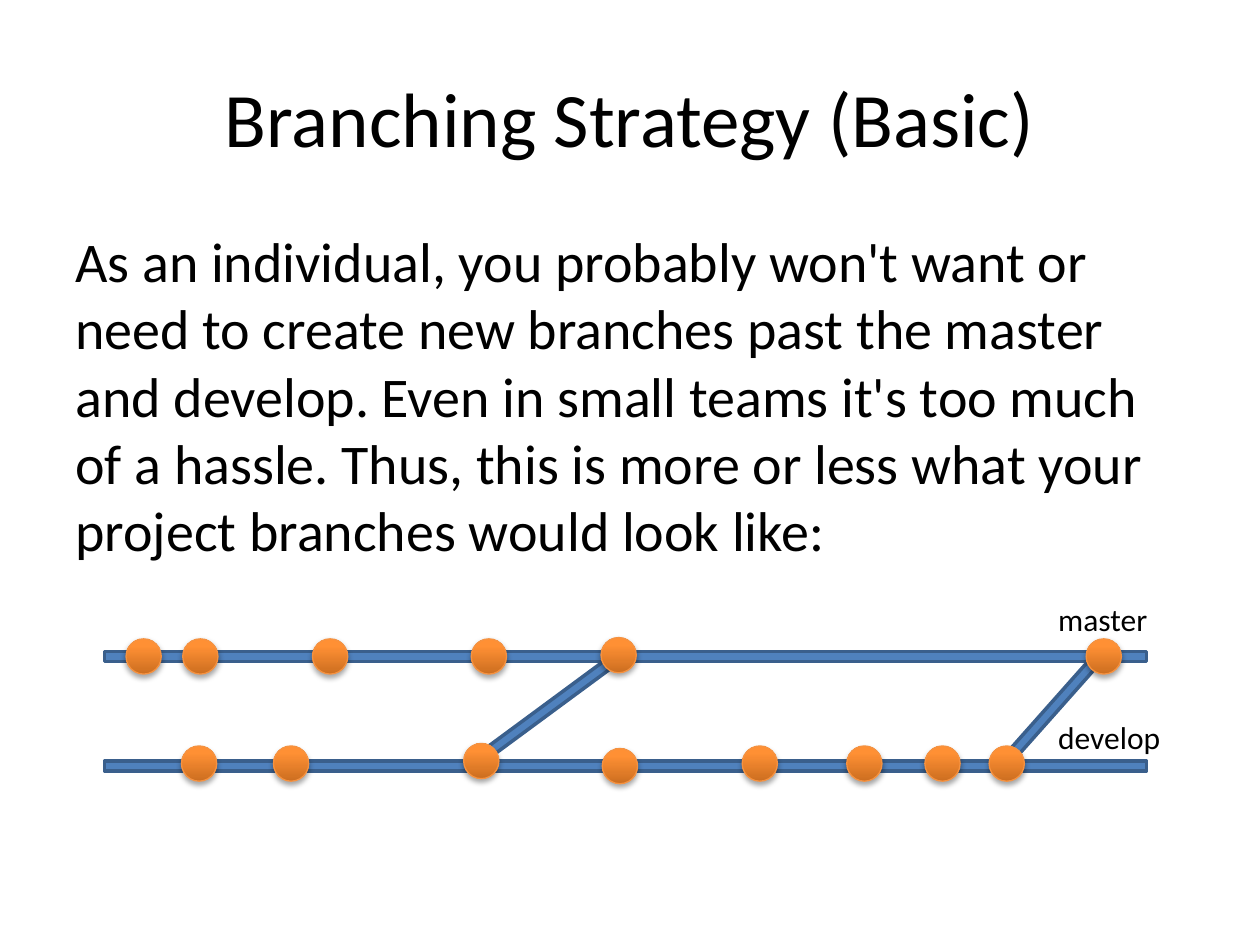
from lxml import etree
from pptx import Presentation
from pptx import util as u
from pptx.dml.color import RGBColor
from pptx.enum import shapes, text
from pptx.oxml.ns import qn

TITLE = "Branching Strategy (Basic)"
BODY = ("As an individual, you probably won't want or need to create new branches "
        "past the master and develop. Even in small teams it's too much of a hassle. "
        "Thus, this is more or less what your project branches would look like:")

COLOURS = {"text": "000000", "bar": "4F81BD", "bar_edge": "3A5F8C",
           "commit_dark": "CC6E20", "commit_light": "FF9034",
           "commit_edge": "F69240", "shadow": "000000"}
FONT = "Calibri"
BAR_HEIGHT = 0.08
COMMIT_SIZE = 0.28

# left, top, width, rotation; from back to front
BARS = [
    (3.67, 5.59, 1.34, 143.6),  # first merge
    (0.83, 5.17, 8.27, 0),      # master
    (0.83, 6.04, 8.27, 0),      # develop
    (7.76, 5.59, 1.18, 131.6),  # second merge
]
# name, left, top, width
LABELS = [("master", 8.3, 4.71, 0.92), ("develop", 8.3, 5.65, 1.02)]
# top of the commits, their left edges
COMMITS = [
    (5.07, [1, 1.45, 2.48, 3.74, 8.62]),
    (5.06, [4.77]),
    (5.92, [1.44, 2.17, 5.89, 6.72, 7.34, 7.85]),
    (5.9, [3.68]),
    (5.94, [4.78]),
]


def colour(name):
    return RGBColor.from_string(COLOURS[name])


def inches(*lengths):
    return [u.Inches(length) for length in lengths]


def write(frame, words, size, wrap=True):
    frame.word_wrap = wrap
    paragraph = frame.paragraphs[0]
    paragraph.text = words
    paragraph.font.name = FONT
    paragraph.font.size = u.Pt(size)
    paragraph.font.color.rgb = colour("text")
    return paragraph


def add_outlined(slide, kind, box, edge, edge_width):
    shape = slide.shapes.add_shape(kind, *inches(*box))
    shape.shadow.inherit = False
    shape.line.color.rgb = colour(edge)
    shape.line.width = u.Pt(edge_width)
    return shape


def add_bar(slide, left, top, width, rotation):
    bar = add_outlined(slide, shapes.MSO_SHAPE.RECTANGLE,
                       (left, top, width, BAR_HEIGHT), "bar_edge", 2)
    bar.rotation = rotation
    bar.fill.solid()
    bar.fill.fore_color.rgb = colour("bar")


def add_commit(slide, left, top):
    commit = add_outlined(slide, shapes.MSO_SHAPE.OVAL,
                          (left, top, COMMIT_SIZE, COMMIT_SIZE), "commit_edge", 0.75)
    commit.fill.gradient()
    commit.fill.gradient_angle = 90
    stops = zip(commit.fill.gradient_stops, (0, 0.8), ("commit_dark", "commit_light"))
    for stop, position, name in stops:
        stop.position = position
        stop.color.rgb = colour(name)
    drop_shadow(commit)


def drop_shadow(shape):
    effects = shape._element.spPr.find(qn("a:effectLst"))
    shadow = etree.SubElement(effects, qn("a:outerShdw"), blurRad=str(u.Pt(3.1)),
                              dist=str(u.Pt(1.8)), dir="5400000", rotWithShape="0")
    tone = etree.SubElement(shadow, qn("a:srgbClr"), val=COLOURS["shadow"])
    etree.SubElement(tone, qn("a:alpha"), val="35000")


def main():
    deck = Presentation()
    deck.slide_width, deck.slide_height = inches(10, 7.5)
    slide = deck.slides.add_slide(deck.slide_layouts[5])

    title = slide.shapes.title
    title.left, title.top, title.width, title.height = inches(0.5, 0.3, 9, 1.25)
    title.text_frame.vertical_anchor = text.MSO_ANCHOR.MIDDLE
    write(title.text_frame, TITLE, 44).alignment = text.PP_ALIGN.CENTER

    body = slide.shapes.add_textbox(*inches(0.5, 1.75, 9, 4.95))
    write(body.text_frame, BODY, 32).space_before = u.Pt(6.4)

    for bar in BARS:
        add_bar(slide, *bar)
    for name, left, top, width in LABELS:
        label = slide.shapes.add_textbox(*inches(left, top, width, 0.4))
        write(label.text_frame, name, 18, wrap=False)
    for top, lefts in COMMITS:
        for left in lefts:
            add_commit(slide, left, top)

    deck.save("out.pptx")


if __name__ == "__main__":
    main()
